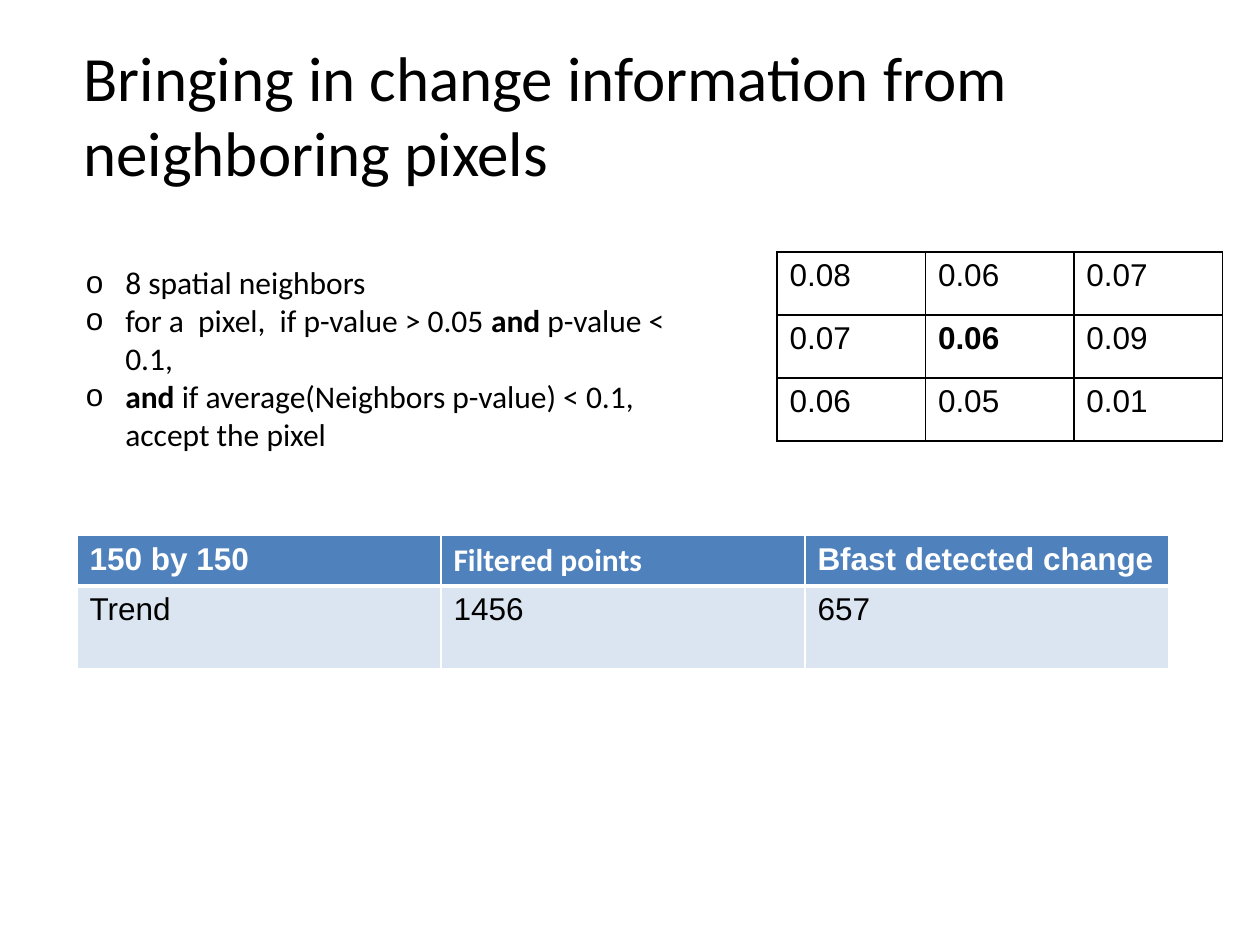
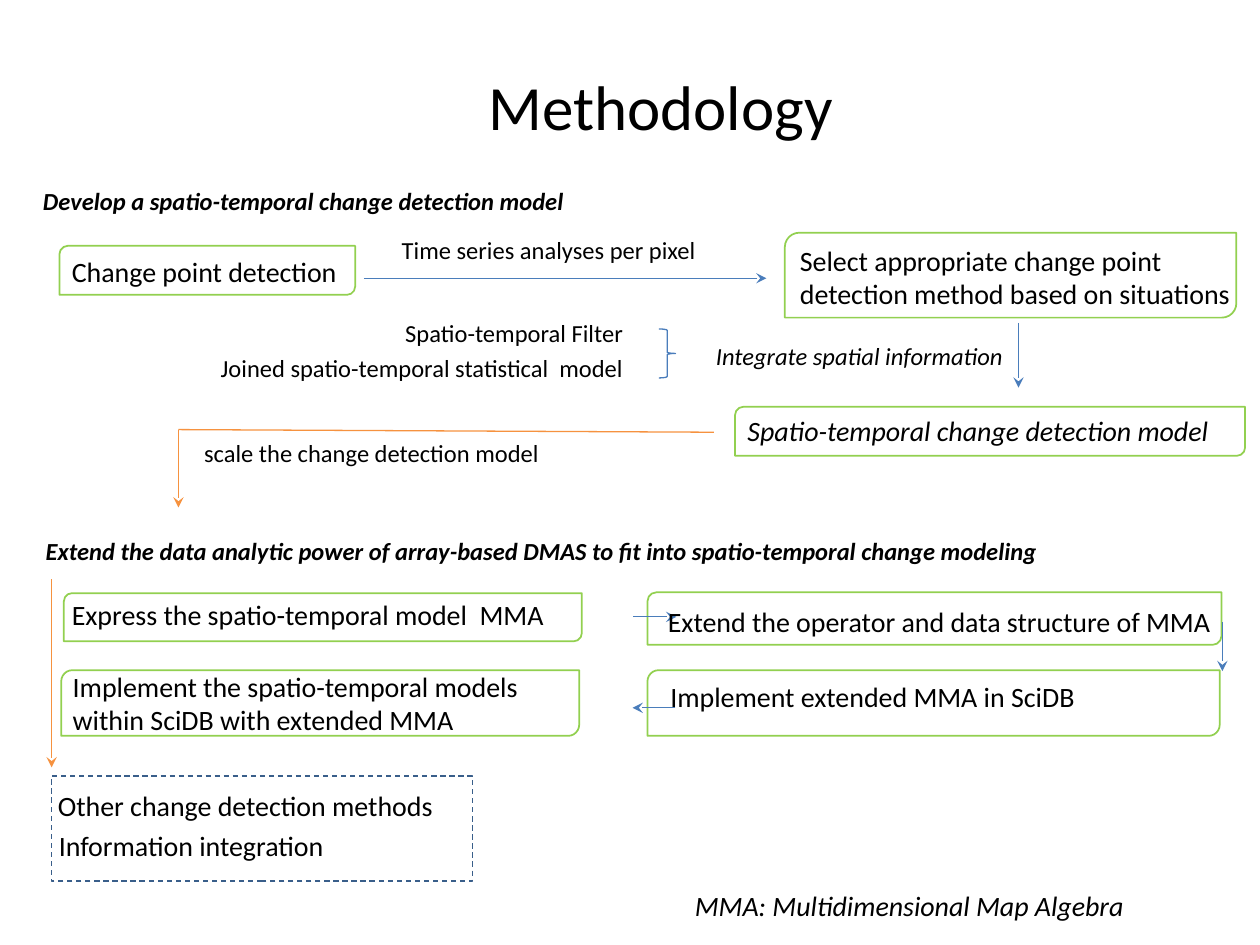
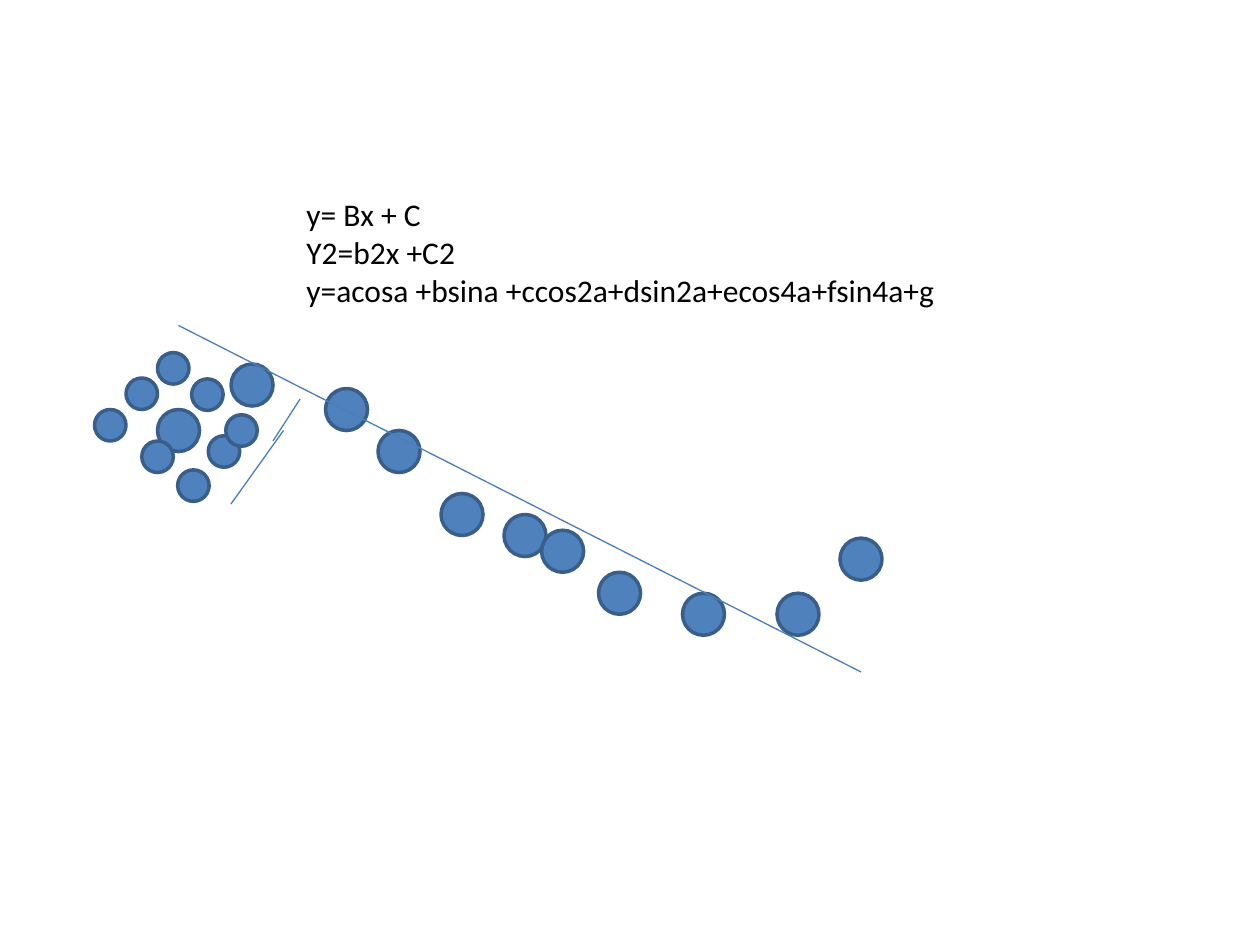
from lxml.etree import SubElement
from pptx import Presentation
from pptx.dml.color import RGBColor as RGB
from pptx.enum.dml import MSO_LINE as Dash
from pptx.enum.shapes import MSO_CONNECTOR as Conn, MSO_SHAPE as Kind
from pptx.enum.text import MSO_ANCHOR as Anchor, PP_ALIGN as Align
from pptx.oxml.ns import qn
from pptx.util import Pt

HUES = {
    "ink": "000000", "white": "FFFFFF", "blue": "4F81BD", "pale": "DBE5F1",
    "edge": "395E8A", "flow": "4A7DBB", "scale": "F6923F", "green": "92D050",
}


def hue(name):
    return RGB.from_string(HUES[name])


class Deck:
    font = "Calibri"

    def __init__(self):
        self.show = Presentation()
        self.show.slide_width, self.show.slide_height = Pt(720), Pt(540)
        self.slide = None

    def add(self, title=None, box=None, align=Align.CENTER):
        self.slide = self.show.slides.add_slide(self.show.slide_layouts[5 if title else 6])
        if title:
            head = self.slide.shapes.title
            head.left, head.top, head.width, head.height = map(Pt, box)
            head.text_frame.vertical_anchor = Anchor.MIDDLE
            para = head.text_frame.paragraphs[0]
            para.alignment = align
            self.run(para, title, 36)

    def run(self, para, text, size, style="", color="ink", font=None):
        run = para.add_run()
        run.text = text
        run.font.name, run.font.size = font or self.font, Pt(size)
        run.font.bold, run.font.italic = "b" in style, "i" in style
        run.font.color.rgb = hue(color)

    def text(self, box, paras, size, bullet=None, anchor=Anchor.TOP):
        frame = self.slide.shapes.add_textbox(*map(Pt, box)).text_frame
        frame.word_wrap, frame.vertical_anchor = True, anchor
        for i, runs in enumerate(paras):
            para = frame.add_paragraph() if i else frame.paragraphs[0]
            if bullet:
                self.mark(para, bullet)
            for words, style in runs:
                self.run(para, words, size, style)

    def mark(self, para, sign, dent=22.5):
        props = para._p.get_or_add_pPr()
        props.set("marL", str(Pt(dent)))
        props.set("indent", str(-Pt(dent)))
        SubElement(props, qn("a:buFont"), typeface="Arial")
        SubElement(props, qn("a:buChar"), char=sign)

    def label(self, x, y, w, words, size=16, style=""):
        self.text((x, y, w, 27 if size == 16 else 24.5), [[(words, style)]], size)

    def shape(self, kind, box, line, width, fill=None, adj=(), dash=None):
        item = self.slide.shapes.add_shape(kind, *map(Pt, box))
        item.shadow.inherit = False
        for i, value in enumerate(adj):
            item.adjustments[i] = value
        if fill:
            item.fill.solid()
            item.fill.fore_color.rgb = hue(fill)
        else:
            item.fill.background()
        item.line.color.rgb, item.line.width = hue(line), Pt(width)
        if dash:
            item.line.dash_style = dash

    def line(self, ends, color="flow", arrow=True):
        item = self.slide.shapes.add_connector(Conn.STRAIGHT, *map(Pt, ends))
        item.line.color.rgb, item.line.width = hue(color), Pt(0.75)
        if arrow:
            SubElement(item.line._get_or_add_ln(), qn("a:tailEnd"), type="stealth")
        SubElement(item._element.spPr, qn("a:effectLst"))

    def table(self, box, rows, heights, look):
        grid = self.slide.shapes.add_table(len(rows), len(rows[0]), *map(Pt, box)).table
        grid.first_row = grid.horz_banding = False
        for r, row in enumerate(rows):
            grid.rows[r].height = Pt(heights[r])
            for c, words in enumerate(row):
                style, color, font, fill, edge, widths = look(r, c)
                cell = grid.cell(r, c)
                self.border(cell, edge, widths)
                if fill:
                    cell.fill.solid()
                    cell.fill.fore_color.rgb = hue(fill)
                else:
                    cell.fill.background()
                self.run(cell.text_frame.paragraphs[0], words, 18, style, color, font)

    def border(self, cell, color, widths):
        props = cell._tc.get_or_add_tcPr()
        for side, width in zip("LRTB", widths):
            edge = SubElement(props, qn("a:ln" + side), w=str(Pt(width)))
            SubElement(SubElement(edge, qn("a:solidFill")), qn("a:srgbClr"), val=HUES[color])


def pixels(deck):
    deck.add("Bringing in change information from neighboring pixels",
             (40.5, 20, 648, 90), Align.LEFT)
    deck.text((42, 146, 348, 117), [
        [("8 spatial neighbors", "")],
        [("for a  pixel,  if p-value > 0.05 ", ""), ("and", "b"), (" p-value < 0.1,", "")],
        [("and", "b"), (" if average(Neighbors p-value) < 0.1, accept the pixel", "")],
    ], 18, "o", Anchor.MIDDLE)

    def count(r, c):
        if r == 0:
            font = "Calibri" if c == 1 else "Arial"
            return "b", "white", font, "blue", "white", (1, 1, 1, 3)
        return "", "ink", "Arial", "pale", "white", (1, 1, 3, 1)

    def near(r, c):
        return "b" if r == c == 1 else "", "ink", "Arial", None, "ink", (1, 1, 1, 1)

    deck.table((44, 306, 624, 76), [
        ["150 by 150", "Filtered points", "Bfast detected change"],
        ["Trend", "1456", "657"],
    ], [28.5, 47.5], count)
    deck.table((444, 144, 254.5, 108), [
        ["0.08", "0.06", "0.07"],
        ["0.07", "0.06", "0.09"],
        ["0.06", "0.05", "0.01"],
    ], [36] * 3, near)


def method(deck):
    deck.add("Methodology", (134.5, 15, 486, 90))
    for x, y, w, h in [
        (34, 140.5, 169, 28), (420, 232.5, 291.5, 28), (448.5, 133, 258, 48.5),
        (36.5, 339, 296, 27.5), (35, 383, 296, 37.5),
        (370, 338.5, 328, 30), (370, 383, 327, 37.5),
    ]:
        deck.shape(Kind.ROUND_2_DIAG_RECTANGLE, (x, y, w, h), "green", 1, adj=(0.17, 0))
    deck.shape(Kind.RIGHT_BRACE, (376.5, 188, 9.5, 28), "flow", 0.75, adj=(0.08, 0.5))
    deck.shape(Kind.RECTANGLE, (29.5, 443.5, 240.5, 60), "edge", 0.75, dash=Dash.DASH)

    for ends in [
        (208, 159, 438, 159), (582, 184.5, 582, 221.5), (362, 352.5, 386.5, 352.5),
        (698.5, 355.5, 698.5, 383.5), (386, 404.5, 361.5, 404.5),
    ]:
        deck.line(ends)
    deck.line((408, 247, 102, 245.5), "scale", False)
    deck.line((102, 245.5, 102, 290), "scale")
    deck.line((29.5, 331, 29.5, 438.5), "scale")

    for x, y, w, words in [
        (450, 135.5, 270, "Select appropriate change point detection method based on situations"),
        (34, 142, 173, "Change point detection"),
        (26, 447, 300, "Other change detection methods"),
        (26.5, 470, 206, "Information integration"),
        (34, 338, 296, "Express the spatio-temporal model  MMA"),
        (374.5, 342, 330.5, "Extend the operator and data structure of MMA"),
        (376, 385, 322.5, "Implement extended MMA in SciDB"),
        (34.5, 379, 302.5,
         "Implement the spatio-temporal models within SciDB with extended MMA"),
    ]:
        deck.label(x, y, w, words)
    deck.label(420, 232.5, 300, "Spatio-temporal change detection model", style="i")
    deck.label(390, 504, 261.5, "MMA: Multidimensional Map Algebra", style="i")

    for x, y, w, words, style in [
        (17.5, 102.5, 360, "Develop a spatio-temporal change detection model", "bi"),
        (19, 302.5, 640, "Extend the data analytic power of array-based DMAS "
         "to fit into spatio-temporal change modeling", "bi"),
        (222.5, 130.5, 252, "Time series analyses per pixel", ""),
        (224.5, 178, 143.5, "Spatio-temporal Filter", ""),
        (119, 198, 254, "Joined spatio-temporal statistical  model", ""),
        (402, 191.5, 196, "Integrate spatial information", "i"),
        (109.5, 247, 226, "scale the change detection model", ""),
    ]:
        deck.label(x, y, w, words, 14, style)


def trend(deck):
    deck.add()
    large = [(90, 234), (132, 208), (186, 222), (216, 246), (252, 282), (288, 294),
             (309.5, 303), (342, 327), (390, 339), (444, 339), (480, 307.5)]
    small = [(72, 216), (54, 234), (81, 252), (101.5, 268.5), (119, 249),
             (129, 237), (109.5, 216.5), (90, 201.5)]

    def dots(spots, size):
        for x, y in spots:
            deck.shape(Kind.OVAL, (x, y, size, size), "edge", 2, "blue")

    dots(large, 24)
    for ends in [(102, 186, 492, 384), (132, 288, 162, 246), (156, 252, 171.5, 228)]:
        deck.line(ends, arrow=False)
    dots(small, 18)
    deck.text((168, 108, 438, 72.5), [
        [("y= Bx + C", "")],
        [("Y2=b2x +C2", "")],
        [("y=acosa +bsina +ccos2a+dsin2a+ecos4a+fsin4a+g", "")],
    ], 18)


def main():
    deck = Deck()
    for build in (pixels, method, trend):
        build(deck)
    deck.show.save("out.pptx")


if __name__ == "__main__":
    main()
